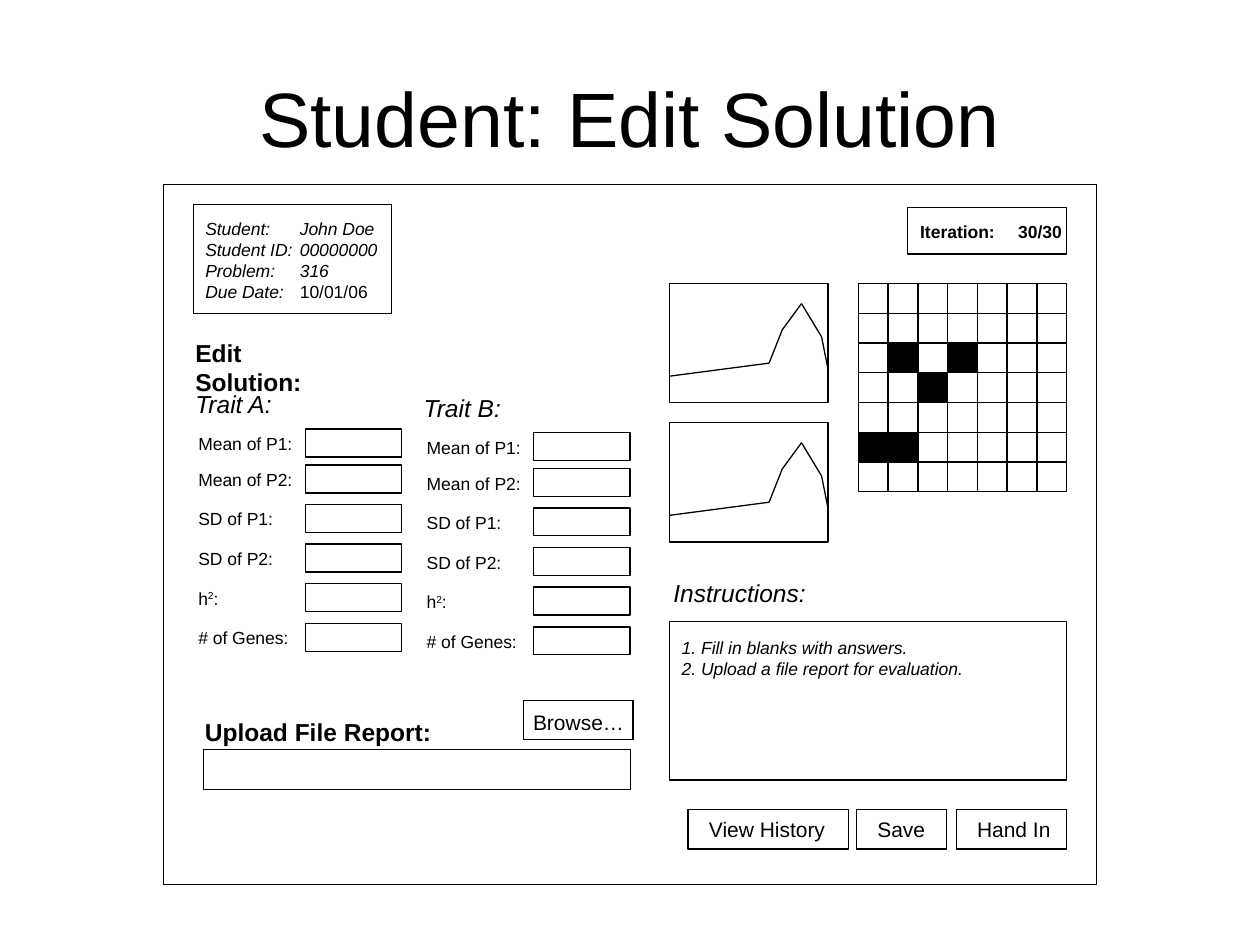
from itertools import pairwise

from lxml.etree import SubElement
from pptx import Presentation
from pptx.dml.color import RGBColor
from pptx.enum.shapes import MSO_CONNECTOR as Connector, MSO_SHAPE as Shape
from pptx.enum.text import MSO_ANCHOR as Anchor, MSO_AUTO_SIZE as AutoSize, PP_ALIGN as Align
from pptx.oxml.ns import qn
from pptx.util import Pt

BLACK = RGBColor(0, 0, 0)
FONT = "Arial"
CELL, CELLS = 17, 7
FILLED_CELLS = [(1, 2), (3, 2), (2, 3), (0, 5), (1, 5)]
CURVE = [(0, 53), (57, 45.5), (64.5, 26.5), (75.5, 11.5), (87, 30.5), (90.75, 49.5)]
H_SQUARED = [("h", {}), ("2", {"baseline": 30000}), (":", {})]
FIELDS = [
    ("Mean of P1:", 0), ("Mean of P2:", 20.5), ("SD of P1:", 43),
    ("SD of P2:", 65.7), (H_SQUARED, 88.3), ("# of Genes:", 111),
]


def write(frame, paragraphs, size=10, bold=False, italic=False, align=Align.LEFT, tab=None):
    """Fill a text frame; a paragraph is a string or a list of (text, overrides)."""
    for index, content in enumerate(paragraphs):
        paragraph = frame.add_paragraph() if index else frame.paragraphs[0]
        paragraph.alignment = align
        if tab:
            stops = SubElement(paragraph._p.get_or_add_pPr(), qn("a:tabLst"))
            SubElement(stops, qn("a:tab"), pos=str(Pt(tab)), algn="l")
        for text, changes in [(content, {})] if isinstance(content, str) else content:
            run = paragraph.add_run()
            run.text = text
            run.font.name, run.font.size = FONT, Pt(size)
            run.font.bold, run.font.italic = bold, changes.get("italic", italic)
            run.font.color.rgb = BLACK
            if "baseline" in changes:
                run._r.get_or_add_rPr().set("baseline", str(changes["baseline"]))


class Wireframe:
    """Draws outlined form elements on one slide."""

    def __init__(self, slide, line_width=0.75):
        self.slide = slide
        self.shapes = slide.shapes
        self.line_width = Pt(line_width)

    def start_group(self):
        self.shapes = self.slide.shapes.add_group_shape().shapes

    def end_group(self):
        self.shapes = self.slide.shapes

    def title(self, text):
        title = self.slide.shapes.title
        title.left, title.top, title.width, title.height = Pt(36), Pt(21.5), Pt(648), Pt(90)
        title.text_frame.vertical_anchor = Anchor.MIDDLE
        write(title.text_frame, [text], size=44, align=Align.CENTER)

    def box(self, left, top, width, height, filled=False):
        box = self.shapes.add_shape(Shape.RECTANGLE, Pt(left), Pt(top), Pt(width), Pt(height))
        box.shadow.inherit = False
        if filled:
            box.fill.solid()
            box.fill.fore_color.rgb = BLACK
        else:
            box.fill.background()
        box.line.color.rgb = BLACK
        box.line.width = self.line_width

    def line(self, x1, y1, x2, y2):
        line = self.shapes.add_connector(Connector.STRAIGHT, Pt(x1), Pt(y1), Pt(x2), Pt(y2))
        line.line.color.rgb = BLACK
        line.line.width = self.line_width
        SubElement(line._element.spPr, qn("a:effectLst"))

    def text(self, left, top, width, height, *paragraphs, wrap=False, **style):
        label = self.shapes.add_textbox(Pt(left), Pt(top), Pt(width), Pt(height))
        label.text_frame.word_wrap = wrap
        label.text_frame.auto_size = AutoSize.SHAPE_TO_FIT_TEXT
        write(label.text_frame, paragraphs, **style)

    def button(self, left, top, width, caption, dx=4.75, dy=0):
        self.box(left, top, width, 22.5)
        self.text(left + dx, top + dy, width + 4, 21.75, caption, wrap=True, size=12)

    def trait(self, heading, left, top):
        self.start_group()
        self.text(left, top, 60, 24.25, heading, size=14, italic=True)
        for label, offset in FIELDS:
            row = top + 26.25 + offset
            self.box(left + 70, row, 55, 16)
            self.text(left + 1.75, row - 1.25, 111.5, 19.5, label, wrap=True)
        self.end_group()

    def graph(self, left, top):
        self.box(left, top, 90.75, 68.25)
        for (x1, y1), (x2, y2) in pairwise(CURVE):
            self.line(left + x1, top + y1, left + x2, top + y2)

    def grid(self, left, top):
        side = CELL * CELLS
        self.start_group()
        self.box(left, top, side, side)
        for step in range(CELL, side, CELL):
            self.line(left, top + step, left + side, top + step)
            self.line(left + step, top, left + step, top + side)
        self.end_group()
        for column, row in FILLED_CELLS:
            self.box(left + column * CELL, top + row * CELL, CELL, CELL, filled=True)


def main():
    deck = Presentation()
    deck.slide_width, deck.slide_height = Pt(720), Pt(540)
    form = Wireframe(deck.slides.add_slide(deck.slide_layouts[5]))

    form.title("Student: Edit Solution")
    form.box(93.5, 105.5, 533, 400)

    form.box(110.5, 116.75, 113.25, 62.5)
    form.text(110.25, 121, 120, 55.5,
              "Student:\tJohn Doe", "Student ID:\t00000000", "Problem:\t316",
              [("Due Date:\t", {}), ("10/01/06", {"italic": False})],
              wrap=True, italic=True, tab=54)
    form.box(518.5, 118.75, 91, 26.5)
    form.text(518.75, 122.75, 100, 19.5, "Iteration:\t30/30", wrap=True, bold=True, tab=56)

    form.text(104.5, 189.5, 105, 24.25, "Edit Solution:", size=14, bold=True)
    form.trait("Trait A:", 104.5, 219)
    form.trait("Trait B:", 235, 221)

    for graph_top in (162, 241.5):
        form.graph(382.5, graph_top)
    form.grid(490.5, 162)

    form.text(377.75, 326.75, 90, 24.25, "Instructions:", size=14, italic=True)
    form.box(382.5, 355, 227, 90.75)
    form.text(382.5, 360.25, 175, 31.5,
              "1. Fill in blanks with answers.", "2. Upload a file report for evaluation.",
              italic=True)

    form.text(110, 406.25, 144, 24.25, "Upload File Report:", size=14, bold=True)
    form.box(116.25, 428.5, 244, 22.5)
    form.button(299, 400.25, 62.75, "Browse…", dx=-1.5, dy=1.5)
    for left, width, caption in [(393.25, 91.5, "View History"), (489.5, 51.25, "Save"),
                                 (546.5, 63, "Hand In")]:
        form.button(left, 462.75, width, caption)

    deck.save("out.pptx")


if __name__ == "__main__":
    main()
